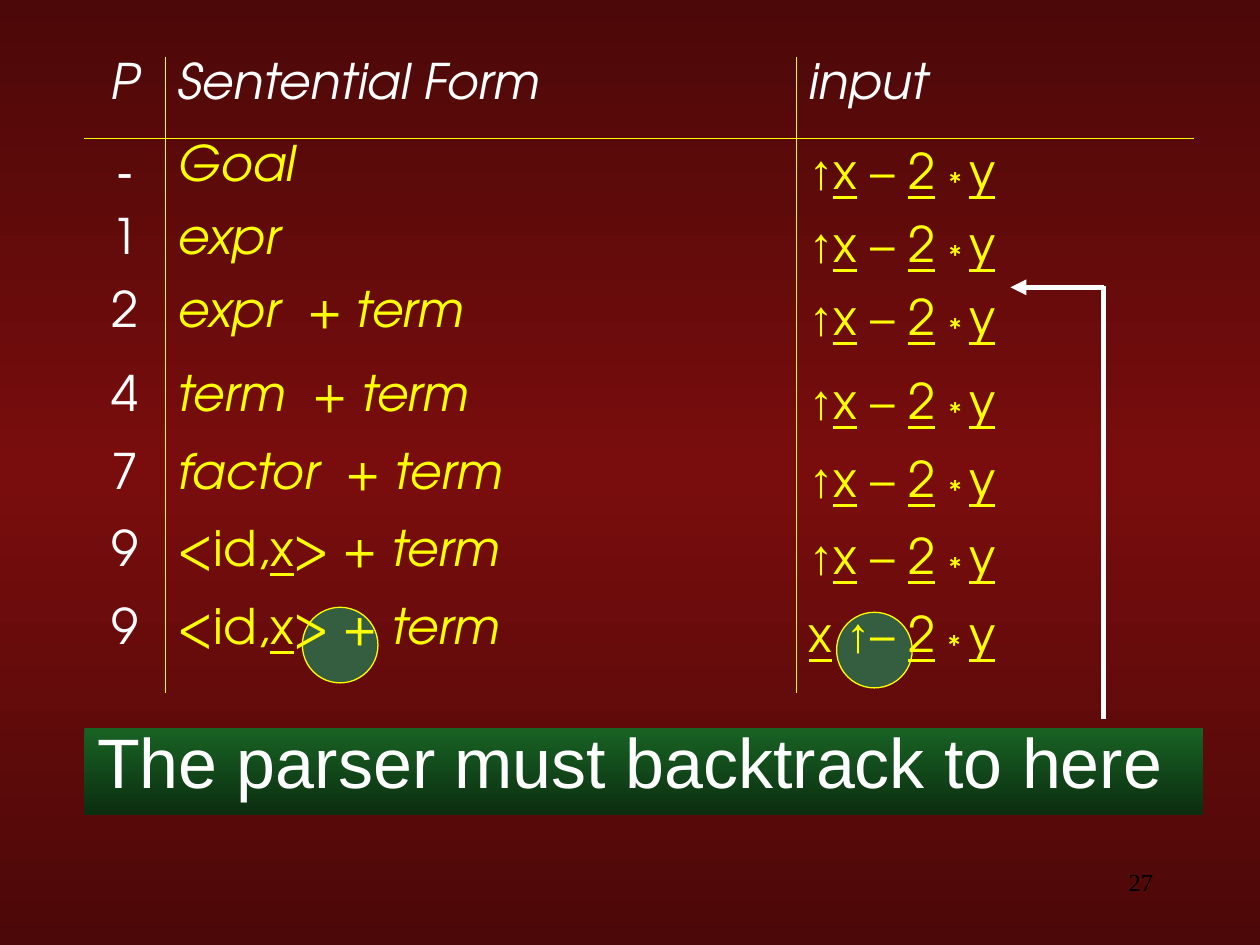
from copy import deepcopy

from pptx import Presentation
from pptx.dml.color import RGBColor
from pptx.enum.shapes import MSO_CONNECTOR as CONN, MSO_SHAPE as SHAPE
from pptx.enum.text import MSO_ANCHOR as ANCHOR, MSO_AUTO_SIZE as AUTO, PP_ALIGN as ALIGN
from pptx.oxml.ns import qn
from pptx.oxml.xmlchemy import OxmlElement as Element
from pptx.util import Inches, Pt

WHITE, YELLOW, CIRCLE = "FFFFFF", "FFFF00", "345E3F"
BACKDROP = ["4C0808", "790D0D", "4C0808"]
BANNER = ["186224", "0B2D10"]
FONT, PLAIN, SERIF = "TeX Gyre Adventor", "Arial", "Times New Roman"

# Run marks: i italic, u underlined, b bold, a plain font, s lowered
REST = [("2", "u"), (" ", ""), ("* ", "s"), ("y", "u")]
UNREAD = [("↑", "ab"), ("x", "u"), (" – ", "")] + REST
READ_X = [("x", "u"), (" ", ""), ("↑", "ab"), ("– ", "")] + REST
ID_TERM = [("<id,", ""), ("x", "u"), ("> +", ""), (" term", "i")]

HEADER = [[("P", "i")], [("Sentential Form", "i")], [("input", "i")]]
STEPS = [
    [[("-", "a")], [("Goal", "i")], UNREAD],
    [[("1", "")], [("expr", "i")], UNREAD],
    [[("2", "")], [("expr  ", "i"), ("+ ", ""), ("term", "i")], UNREAD],
    [[("4", "")], [("term  ", "i"), ("+ ", ""), ("term", "i")], UNREAD],
    [[("7", "")], [("factor  ", "i"), ("+", ""), (" term", "i")], UNREAD],
    [[("9", "")], ID_TERM, UNREAD],
    [[("9", "")], ID_TERM, READ_X],
]
COLUMNS = [6.4, 50.1, 31.6]
ROWS = [6.5, 5.8, 5.8, 6.7, 6.2, 6.1, 6.2, 7.2]


def rgb(value):
    return RGBColor.from_string(value)


def grid(*cells):
    """Lengths on a grid of 100 columns by 75 rows."""
    return [Inches(n / 10) for n in cells]


class Deck:
    def __init__(self):
        self.prs = Presentation()
        self.prs.slide_width, self.prs.slide_height = grid(100, 75)
        self.s = self.prs.slides.add_slide(self.prs.slide_layouts[1])
        title = self.s.shapes.title.element
        title.getparent().remove(title)

    def gradient(self, fill, owner, colours):
        fill.gradient()
        fill.gradient_angle = 270
        stops = owner.find(".//" + qn("a:gsLst"))
        while len(stops) < len(colours):
            stops.append(deepcopy(stops[-1]))
        for i, (stop, colour) in enumerate(zip(fill.gradient_stops, colours)):
            stop.position = i / (len(colours) - 1)
            stop.color.rgb = rgb(colour)

    def background(self, colours):
        self.gradient(self.s.background.fill, self.s.element, colours)

    def run(self, p, text, colour, size=28, font=FONT, marks=""):
        r = p.add_run()
        r.text = text
        r.font.name = PLAIN if "a" in marks else font
        r.font.size, r.font.color.rgb = Pt(size), rgb(colour)
        r.font.bold, r.font.italic = "b" in marks, "i" in marks
        r.font.underline = "u" in marks
        if "s" in marks:
            r.font._element.set("baseline", "-8000")

    def circle(self, left, top, size):
        sp = self.s.shapes.add_shape(SHAPE.OVAL, *grid(left, top, size, size))
        sp.shadow.inherit = False
        sp.fill.solid()
        sp.fill.fore_color.rgb = rgb(CIRCLE)
        sp.line.color.rgb, sp.line.width = rgb(YELLOW), Pt(0.75)

    def banner(self, text, *box):
        sp = self.s.placeholders[1]
        sp.left, sp.top, sp.width, sp.height = grid(*box)
        self.gradient(sp.fill, sp.element, BANNER)
        tf = sp.text_frame
        tf.auto_size, tf.vertical_anchor = AUTO.NONE, ANCHOR.TOP
        p = tf.paragraphs[0]
        pPr = p._p.get_or_add_pPr()
        pPr.set("marL", "0")
        pPr.set("indent", "0")
        pPr.append(Element("a:buNone"))
        p.line_spacing, p.space_before = 0.8, Pt(0)
        self.run(p, text, WHITE, 40, PLAIN)

    def label(self, text, *box):
        tf = self.s.shapes.add_textbox(*grid(*box)).text_frame
        tf.word_wrap = True
        tf.paragraphs[0].alignment = ALIGN.RIGHT
        self.run(tf.paragraphs[0], text, "000000", 14, SERIF)

    def borders(self, cell, drawn):
        tcPr = cell._tc.get_or_add_tcPr()
        for side in "LRTB":
            ln = Element(f"a:ln{side}")
            if side in drawn:
                ln.set("w", str(Pt(0.45)))
                fill = Element("a:solidFill")
                colour = Element("a:srgbClr")
                colour.set("val", YELLOW)
                fill.append(colour)
            else:
                fill = Element("a:noFill")
            ln.append(fill)
            tcPr.append(ln)

    def table(self, left, top, rows, widths, heights):
        box = grid(left, top, sum(widths), sum(heights))
        table = self.s.shapes.add_table(len(rows), len(widths), *box).table
        table.first_row = table.horz_banding = False
        for column, width in zip(table.columns, grid(*widths)):
            column.width = width
        for row, height in zip(table.rows, grid(*heights)):
            row.height = height
        for i, row in enumerate(rows):
            for j, runs in enumerate(row):
                cell = table.cell(i, j)
                sides = ("L" if j else "") + ("R" if j < len(row) - 1 else "")
                self.borders(cell, sides + {0: "B", 1: "T"}.get(i, ""))
                cell.fill.background()
                p = cell.text_frame.paragraphs[0]
                p.alignment = ALIGN.LEFT if j else ALIGN.CENTER
                for text, marks in runs:
                    self.run(p, text, YELLOW if i and j else WHITE, marks=marks)

    def line(self, *ends, arrow=False):
        sp = self.s.shapes.add_connector(CONN.STRAIGHT, *grid(*ends))
        sp.line.color.rgb, sp.line.width = rgb(WHITE), Pt(3)
        if arrow:
            tail = Element("a:tailEnd")
            tail.set("type", "triangle")
            sp.element.spPr.find(qn("a:ln")).append(tail)
        sp.element.spPr.append(Element("a:effectLst"))


def main():
    d = Deck()
    d.background(BACKDROP)

    # Circles behind the mismatched symbols
    d.circle(66.4, 48.6, 6)
    d.circle(24, 48.2, 6)

    # Derivation steps
    d.table(6.7, 4.5, [HEADER] + STEPS, COLUMNS, ROWS)

    # Conclusion and its arrow back into the table
    d.banner("The parser must backtrack to here", 6.7, 57.8, 88.8, 6.9)
    d.line(87.6, 57.1, 87.6, 22.7)
    d.line(87.6, 22.8, 80.2, 22.8, arrow=True)

    # Slide number
    d.label("27", 82.5, 68.3, 10, 3.5)
    d.prs.save("out.pptx")


if __name__ == "__main__":
    main()
